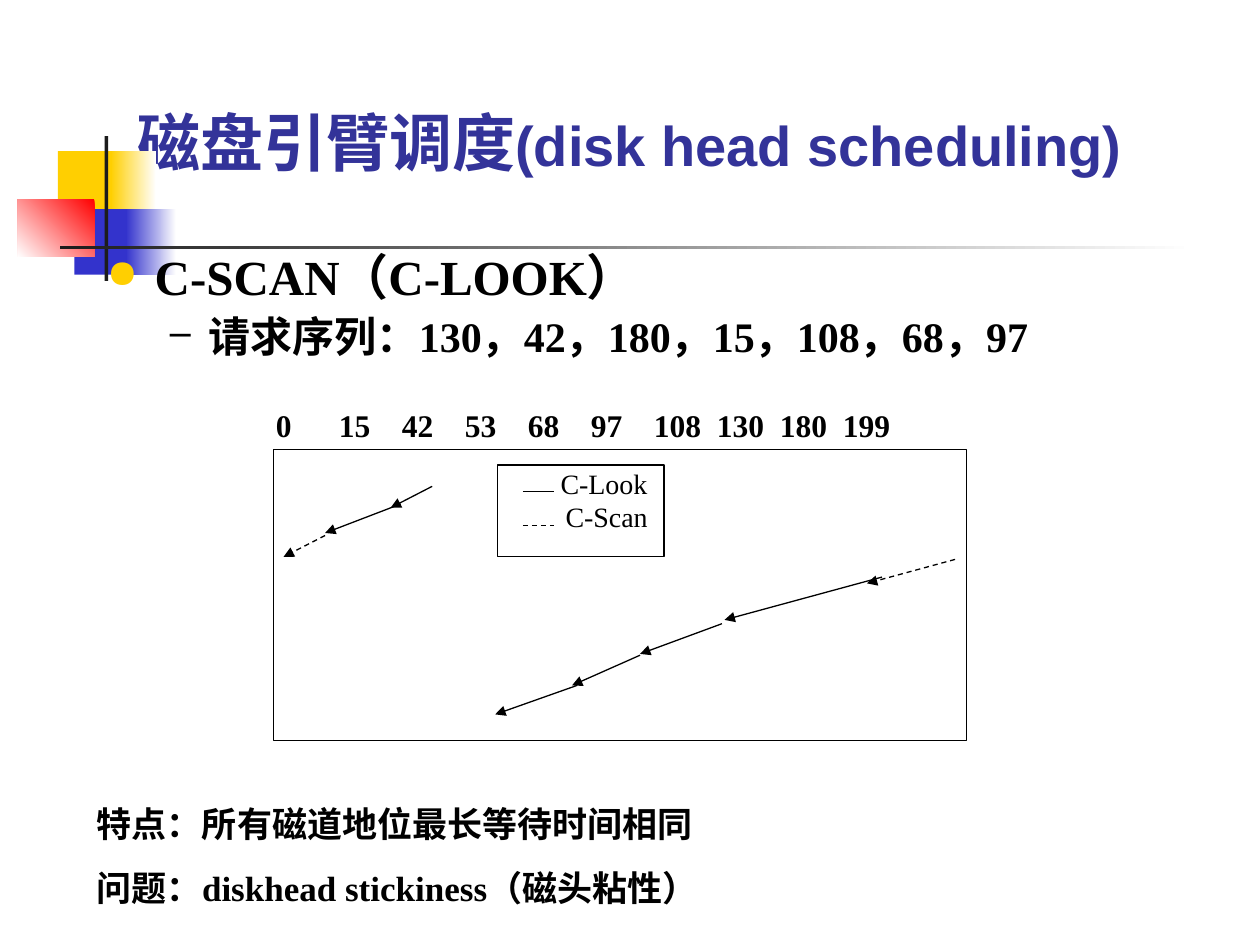
from dataclasses import dataclass
from typing import Any

from lxml import etree
from pptx import Presentation
from pptx import util as u
from pptx.dml.color import RGBColor
from pptx.enum import dml, shapes, text
from pptx.oxml.ns import qn


def colour(code):
    return RGBColor.from_string(code)


def add_element(parent, tag, **attributes):
    return etree.SubElement(parent, qn(tag), attributes)


@dataclass
class SlideBuilder:
    """Draws styled elements on the current slide."""

    page: Any
    serif: str = "Times New Roman"
    sans: str = "Arial"
    ink: str = "000000"
    heading: str = "333399"
    accent: str = "FFCF01"

    def title(self, spans, at):
        box = self.page.shapes.title
        box.left, box.top, box.width, box.height = map(u.Inches, at)
        frame = box.text_frame
        frame.vertical_anchor = text.MSO_ANCHOR.MIDDLE
        para = frame.paragraphs[0]
        para.alignment = text.PP_ALIGN.CENTER
        for words, size in spans:
            span = para.add_run()
            span.text = words
            self.style(span.font, size, True, self.sans, self.heading)

    def style(self, font, size, bold=False, name=None, code=None):
        font.name, font.size, font.bold = name or self.serif, u.Pt(size), bold
        font.color.rgb = colour(code or self.ink)

    def block(self, at, fill=None, fade=None, angle=180):
        box = self.page.shapes.add_shape(shapes.MSO_SHAPE.RECTANGLE, *map(u.Inches, at))
        box.shadow.inherit = False
        if fade:
            box.fill.gradient()
            box.fill.gradient_angle = angle
            for stop, code in zip(box.fill.gradient_stops, fade):
                stop.color.rgb = colour(code)
        elif fill:
            box.fill.solid()
            box.fill.fore_color.rgb = colour(fill)
        else:
            box.fill.background()
        if fill or fade:
            box.line.fill.background()
        else:
            box.line.color.rgb = colour(self.ink)
            box.line.width = u.Pt(0.75)
        return box

    def textbox(self, at, insets=(0.1, 0.05, 0.1, 0.05)):
        box = self.page.shapes.add_textbox(*map(u.Inches, at))
        return self.frame(box, insets)

    def frame(self, box, insets):
        frame = box.text_frame
        frame.word_wrap = True
        frame.vertical_anchor = text.MSO_ANCHOR.TOP
        (frame.margin_left, frame.margin_top,
         frame.margin_right, frame.margin_bottom) = map(u.Inches, insets)
        return frame

    def paragraph(self, frame, words, size, bold=True, before=0, spacing=None,
                  level=0, indent=(0, 0), bullet=None, tabs=()):
        first = frame.paragraphs[0]
        para = frame.add_paragraph() if first.runs else first
        para.add_run().text = words
        para.alignment = text.PP_ALIGN.LEFT
        para.level = level
        if before:
            para.space_before = u.Pt(before)
        if spacing:
            para.line_spacing = spacing
        props = para._p.get_or_add_pPr()
        margin, hanging = map(u.Inches, indent)
        props.set("marL", str(margin))
        props.set("indent", str(hanging))
        if bullet:
            mark, code, percent = bullet
            add_element(add_element(props, "a:buClr"), "a:srgbClr", val=code)
            add_element(props, "a:buSzPct", val=str(percent * 1000))
            add_element(props, "a:buChar", char=mark)
        if tabs:
            stops = add_element(props, "a:tabLst")
            for stop in tabs:
                add_element(stops, "a:tab", pos=str(u.Inches(stop)), algn="l")
        self.style(para.font, size, bold)

    def line(self, start, end, dashed=False, arrow=True):
        link = self.page.shapes.add_connector(
            shapes.MSO_CONNECTOR.STRAIGHT, *map(u.Inches, start + end))
        link.line.color.rgb = colour(self.ink)
        link.line.width = u.Pt(0.75)
        if dashed:
            link.line.dash_style = dml.MSO_LINE.DASH
        if arrow:
            add_element(link.line._get_or_add_ln(), "a:tailEnd", type="triangle")
        add_element(link._element.spPr, "a:effectLst")


def draw_decoration(slide):
    white, yellow, blue, red, dark = "FFFFFF", slide.accent, "3333CC", "FF0000", "1C1C1C"
    slide.block((0.46, 1.2, 0.48, 0.52), fill=yellow)
    slide.block((0.88, 1.2, 0.36, 0.52), fade=(white, yellow))
    slide.block((0.59, 1.66, 0.46, 0.52), fill=blue)
    slide.block((1, 1.66, 0.4, 0.52), fade=(white, blue))
    slide.block((0.14, 1.58, 0.61, 0.46), fade=(red, white), angle=225)
    slide.block((0.83, 1.08, 0.03, 1.15), fill=dark)
    slide.block((0.48, 1.95, 9, 0.03), fade=(white, dark))


def draw_text(slide):
    slide.title([("磁盘引臂调度", 36), ("(disk head scheduling)", 32)], (0.75, 0.5, 8.5, 1.25))
    body = slide.textbox((0.75, 1.96, 8.5, 1))
    slide.paragraph(body, "C-SCAN（C-LOOK）", 28, spacing=0.9,
                    indent=(0.38, -0.38), bullet=("●", slide.accent, 80))
    slide.paragraph(body, "请求序列：130，42，180，15，108，68，97", 24, before=6, spacing=0.9,
                    level=1, indent=(0.81, -0.31), bullet=("–", slide.ink, 90))
    remarks = slide.textbox((0.67, 6.32, 8.92, 0.94))
    slide.paragraph(remarks, "特点：所有磁道地位最长等待时间相同", 20)
    slide.paragraph(remarks, "问题：diskhead stickiness（磁头粘性）", 20, before=12.5)


def draw_diagram(slide):
    slide.block((2.17, 3.57, 5.5, 2.31))
    tracks = ["0", "15", "42", "53", "68", "97", "108", "130", "180", "199"]
    stops = [0.25, 0.81, 1.19, 1.56, 2.19, 2.69, 3.37, 4.43, 5.06]
    axis = slide.textbox((2.17, 3.22, 5.5, 0.41), (0.02, 0, 0.02, 0))
    slide.paragraph(axis, "\t".join(tracks), 18, tabs=stops)

    look_moves = [
        ((3.43, 3.86), (3.1, 4.03)),
        ((3.18, 4), (2.58, 4.23)),
        ((7, 4.58), (5.75, 4.92)),
        ((5.73, 4.95), (5.08, 5.19)),
        ((5.08, 5.2), (4.54, 5.44)),
        ((4.58, 5.44), (3.93, 5.67)),
    ]
    scan_moves = [((2.58, 4.25), (2.25, 4.42)), ((7.58, 4.44), (6.88, 4.63))]
    for moves, dashed in ((look_moves, False), (scan_moves, True)):
        for start, end in moves:
            slide.line(start, end, dashed)

    legend = slide.frame(slide.block((3.95, 3.69, 1.32, 0.73)), (0.1, 0.01, 0.1, 0.05))
    for name, margin, y, dashed in (("C-Look", 0.4, 3.9, False), ("C-Scan", 0.44, 4.17, True)):
        slide.paragraph(legend, name, 16, bold=False, indent=(margin, 0))
        slide.line((4.15, y), (4.4, y), dashed, arrow=False)


def main():
    deck = Presentation()
    deck.slide_width, deck.slide_height = u.Inches(10), u.Inches(7.5)
    slide = SlideBuilder(deck.slides.add_slide(deck.slide_layouts[5]))
    draw_decoration(slide)
    draw_text(slide)
    draw_diagram(slide)
    deck.save("out.pptx")


if __name__ == "__main__":
    main()
